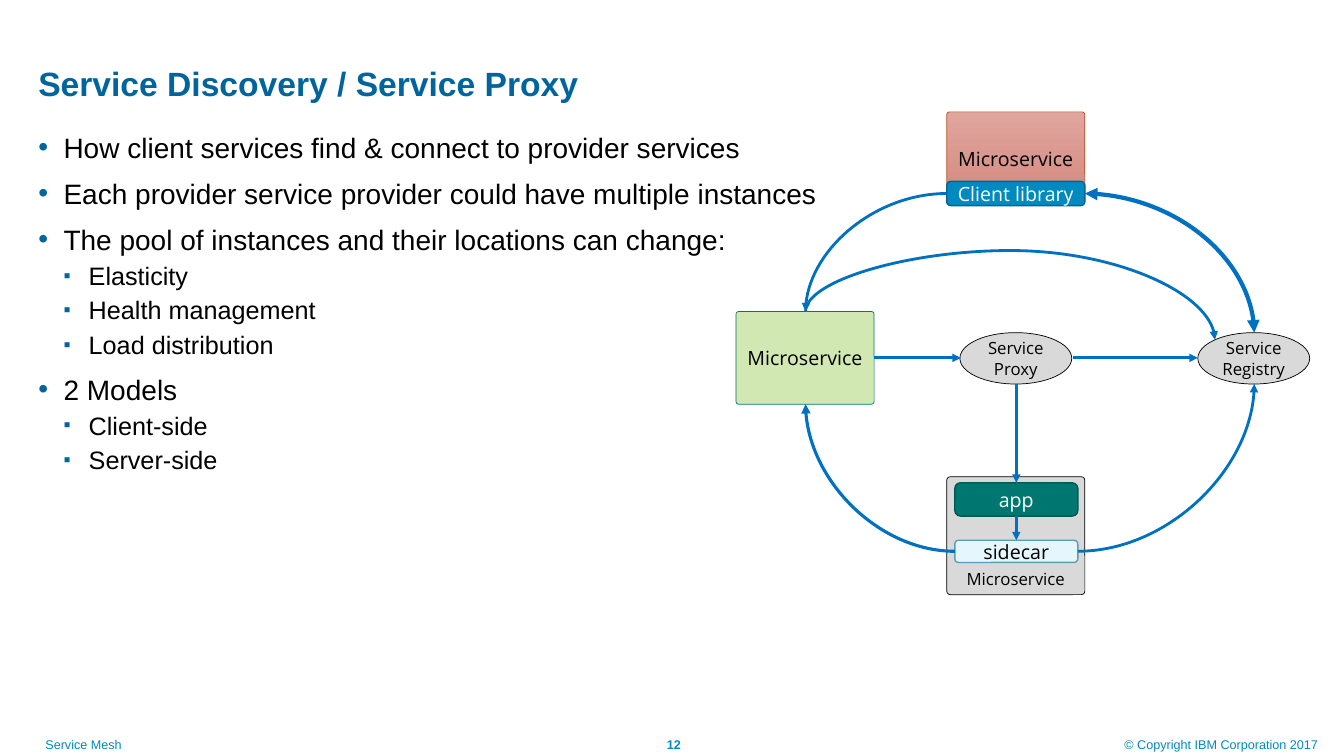
"""Build the service discovery and service proxy slide."""
from dataclasses import dataclass
from typing import Optional

from lxml import etree
from pptx import Presentation
from pptx.dml.color import RGBColor
from pptx.enum.shapes import MSO_CONNECTOR, MSO_SHAPE
from pptx.enum.text import MSO_ANCHOR, MSO_AUTO_SIZE, PP_ALIGN
from pptx.oxml.ns import qn
from pptx.util import Inches, Pt

ROUND, OVAL = MSO_SHAPE.ROUNDED_RECTANGLE, MSO_SHAPE.OVAL
STRAIGHT, CURVE = MSO_CONNECTOR.STRAIGHT, MSO_CONNECTOR.CURVE
TOP, MIDDLE, BOTTOM = MSO_ANCHOR.TOP, MSO_ANCHOR.MIDDLE, MSO_ANCHOR.BOTTOM
LEFT, CENTER, RIGHT = PP_ALIGN.LEFT, PP_ALIGN.CENTER, PP_ALIGN.RIGHT
NO_AUTOFIT = MSO_AUTO_SIZE.NONE

COLORS = {
    "title": "00649D", "footer": "008ABF", "black": "000000", "white": "FFFFFF",
    "arrow": "0070C0", "gray": "D9D9D9", "green": "D1E8B2", "teal": "007670",
    "dark teal": "005753", "red top": "E0A69E", "red bottom": "D4877D",
    "red line": "B8471B", "library line": "00668D", "sidecar": "E6F6FD",
    "sidecar line": "609BB5",
}
NO_INSETS = (0, 0, 0, 0)
TIGHT = (0, 0.05, 0, 0.05)
NORMAL = (0.1, 0.05, 0.1, 0.05)


@dataclass(frozen=True)
class Node:
    """A labelled shape of the diagram."""
    name: str
    text: str
    box: tuple
    fill: tuple
    line: str
    kind: MSO_SHAPE = ROUND
    size: int = 14
    color: str = "black"
    line_width: float = 0.5
    corner: Optional[float] = None
    anchor: MSO_ANCHOR = MIDDLE
    insets: tuple = NORMAL


@dataclass(frozen=True)
class Link:
    """An arrow between connection sites of two nodes."""
    source: tuple
    target: tuple
    begin: tuple
    end: tuple
    kind: MSO_CONNECTOR = CURVE
    width: float = 2
    both_ways: bool = False
    rotation: int = 0
    bend: Optional[int] = None


NODES = [
    Node("consumer", "Microservice", (7.3, 3.09, 1.37, 0.92), ("green",), "teal", corner=0.03),
    Node("client", "Microservice", (9.39, 1.11, 1.37, 0.92), ("red top", "red bottom"),
         "red line", corner=0.03),
    Node("provider", "Microservice", (9.39, 4.73, 1.37, 1.17), ("gray",), "black", size=12,
         corner=0.03, anchor=BOTTOM),
    Node("registry", "Service\nRegistry", (11.88, 3.3, 1.11, 0.51), ("gray",), "black", OVAL,
         size=12, insets=NO_INSETS),
    Node("library", "Client library", (9.39, 1.8, 1.37, 0.24), ("footer",), "library line",
         color="white", line_width=1, insets=TIGHT),
    Node("proxy", "Service\nProxy", (9.52, 3.3, 1.11, 0.51), ("gray",), "black", OVAL,
         size=12, insets=NO_INSETS),
    Node("app", "app", (9.47, 4.79, 1.22, 0.33), ("teal",), "dark teal", color="white",
         line_width=1),
    Node("sidecar", "sidecar", (9.47, 5.36, 1.22, 0.22), ("sidecar",), "sidecar line",
         line_width=1, insets=TIGHT),
]
LINKS = [
    Link(("library", 3), ("registry", 0), (10.76, 1.92), (12.44, 3.3), width=3, both_ways=True),
    Link(("sidecar", 3), ("registry", 4), (10.69, 5.47), (12.44, 3.81)),
    Link(("library", 1), ("consumer", 0), (9.39, 1.92), (7.99, 3.09)),
    Link(("sidecar", 1), ("consumer", 2), (9.47, 5.47), (7.99, 4.01), width=2.25),
    Link(("consumer", 0), ("registry", 1), (10.16, 1.2), (9.88, 5.26), rotation=270,
         bend=-216100),
    Link(("consumer", 3), ("proxy", 2), (8.67, 3.55), (9.53, 3.55), STRAIGHT),
    Link(("proxy", 6), ("registry", 2), (10.64, 3.55), (11.88, 3.55), STRAIGHT),
    Link(("proxy", 4), ("app", 0), (10.08, 3.81), (10.08, 4.79), STRAIGHT),
    Link(("app", 2), ("sidecar", 0), (10.08, 5.12), (10.08, 5.36), STRAIGHT),
]
BULLETS = [
    (0, "How client services find & connect to provider services"),
    (0, "Each provider service provider could have multiple instances"),
    (0, "The pool of instances and their locations can change:"),
    (1, "Elasticity"), (1, "Health management"), (1, "Load distribution"),
    (0, "2 Models"),
    (1, "Client-side"), (1, "Server-side"),
]
FOOTERS = [
    ("Service Mesh", (0.45, 7.31, 5.52, 0.15), NO_INSETS, LEFT, False),
    ("12", (6.1, 7.31, 1.21, 0.18), (0, 0, 0.04, 0.04), CENTER, True),
    ("© Copyright IBM Corporation 2017", (11.07, 7.31, 2.1, 0.19), (0, 0, 0.1, 0), RIGHT, False),
]


def rgb(name: str) -> RGBColor:
    """Return the named colour."""
    return RGBColor.from_string(COLORS[name])


def place(shape, box: tuple) -> None:
    """Move and size a shape in inches."""
    shape.left, shape.top, shape.width, shape.height = map(Inches, box)


def format_frame(frame, insets: tuple, anchor=TOP) -> None:
    """Set the wrapping, margins and anchor of a text frame."""
    frame.word_wrap = True
    frame.auto_size = NO_AUTOFIT
    frame.vertical_anchor = anchor
    (frame.margin_left, frame.margin_top,
     frame.margin_right, frame.margin_bottom) = map(Inches, insets)


def write_text(paragraph, text: str, *, size: int, color="black", font="Arial",
               bold=False, align=LEFT) -> None:
    """Write one formatted run into a paragraph."""
    paragraph.alignment = align
    run = paragraph.add_run()
    run.text = text
    run.font.name, run.font.size, run.font.bold = font, Pt(size), bold
    run.font.color.rgb = rgb(color)


def add_bullet(paragraph, level: int) -> None:
    """Give a paragraph its hanging indent and bullet."""
    properties = paragraph._p.get_or_add_pPr()
    properties.set("marL", str(Inches(0.25 * (level + 1))))
    properties.set("indent", str(Inches(-0.25)))
    color = etree.SubElement(properties, qn("a:buClr"))
    etree.SubElement(color, qn("a:srgbClr"), val=COLORS["title"])
    etree.SubElement(properties, qn("a:buSzPct"), val=("100000", "80000")[level])
    etree.SubElement(properties, qn("a:buFont"), typeface="Arial")
    etree.SubElement(properties, qn("a:buChar"), char="•▪"[level])


def fill_body(body) -> None:
    """Write the bullet list into the body placeholder."""
    place(body, (0.28, 1.27, 12.9, 6.03))
    frame = body.text_frame
    format_frame(frame, (0.1, 0.02, 0, 0))
    for index, (level, text) in enumerate(BULLETS):
        paragraph = frame.add_paragraph() if index else frame.paragraphs[0]
        paragraph.level = level
        add_bullet(paragraph, level)
        paragraph.space_before = Pt((9, 3)[level] if index else 0)
        write_text(paragraph, text, size=(20, 18)[level])


def draw_node(slide, node: Node):
    """Draw a labelled diagram shape."""
    shape = slide.shapes.add_shape(node.kind, *map(Inches, node.box))
    shape.shadow.inherit = False
    if node.corner is not None:
        shape.adjustments[0] = node.corner
    if len(node.fill) == 1:
        shape.fill.solid()
        shape.fill.fore_color.rgb = rgb(node.fill[0])
    else:
        shape.fill.gradient()
        shape.fill.gradient_angle = 270
        for stop, color in zip(shape.fill.gradient_stops, node.fill):
            stop.color.rgb = rgb(color)
    shape.line.color.rgb, shape.line.width = rgb(node.line), Pt(node.line_width)
    frame = shape.text_frame
    format_frame(frame, node.insets, node.anchor)
    for index, text in enumerate(node.text.split("\n")):
        paragraph = frame.add_paragraph() if index else frame.paragraphs[0]
        write_text(paragraph, text, size=node.size, color=node.color, font="Open Sans",
                   align=CENTER)
    return shape


def draw_link(slide, link: Link, shapes: dict) -> None:
    """Draw an arrow and join it to its nodes."""
    connector = slide.shapes.add_connector(link.kind, *map(Inches, link.begin + link.end))
    joints = connector._element.nvCxnSpPr.cNvCxnSpPr
    for tag, connect, (name, site) in (("a:stCxn", connector.begin_connect, link.source),
                                       ("a:endCxn", connector.end_connect, link.target)):
        shape = shapes[name]
        if link.kind == STRAIGHT and shape.auto_shape_type == ROUND:
            connect(shape, site)
        else:
            etree.SubElement(joints, qn(tag), id=str(shape.shape_id), idx=str(site))
    properties = connector._element.spPr
    if link.kind == CURVE:
        geometry = properties.find(qn("a:prstGeom"))
        if link.bend is None:
            geometry.set("prst", "curvedConnector2")
        else:
            guides = geometry.find(qn("a:avLst"))
            etree.SubElement(guides, qn("a:gd"), name="adj1", fmla=f"val {link.bend}")
            properties.find(qn("a:xfrm")).set("rot", str(link.rotation * 60000))
    connector.line.color.rgb, connector.line.width = rgb("arrow"), Pt(link.width)
    line = properties.find(qn("a:ln"))
    if link.both_ways:
        etree.SubElement(line, qn("a:headEnd"), type="triangle")
    etree.SubElement(line, qn("a:tailEnd"), type="triangle")
    etree.SubElement(properties, qn("a:effectLst"))


def main() -> None:
    """Create and save the presentation."""
    presentation = Presentation()
    presentation.slide_width, presentation.slide_height = Inches(13.33), Inches(7.5)
    slide = presentation.slides.add_slide(presentation.slide_layouts[1])
    title = slide.shapes.title
    place(title, (0.28, 0.6, 12.9, 0.5))
    format_frame(title.text_frame, (0.1, 0, 0, 0), MIDDLE)
    heading = title.text_frame.paragraphs[0]
    heading.line_spacing = 0.9
    write_text(heading, "Service Discovery / Service Proxy", size=24, color="title", bold=True)
    fill_body(slide.placeholders[1])
    shapes = {node.name: draw_node(slide, node) for node in NODES}
    for link in LINKS:
        draw_link(slide, link, shapes)
    for text, box, insets, align, bold in FOOTERS:
        frame = slide.shapes.add_textbox(*map(Inches, box)).text_frame
        format_frame(frame, insets)
        write_text(frame.paragraphs[0], text, size=9, color="footer", bold=bold, align=align)
    presentation.save("out.pptx")


if __name__ == "__main__":
    main()
